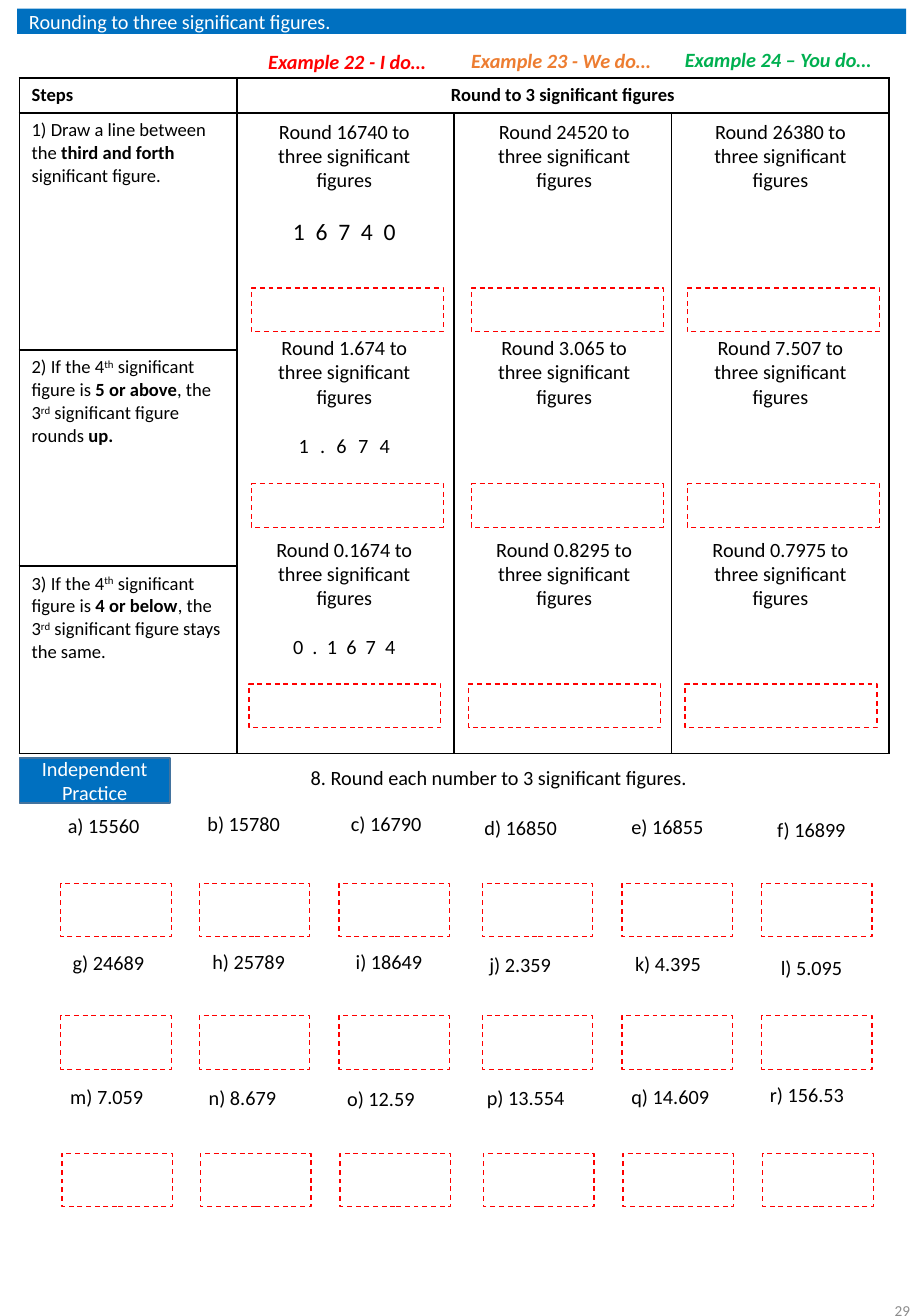
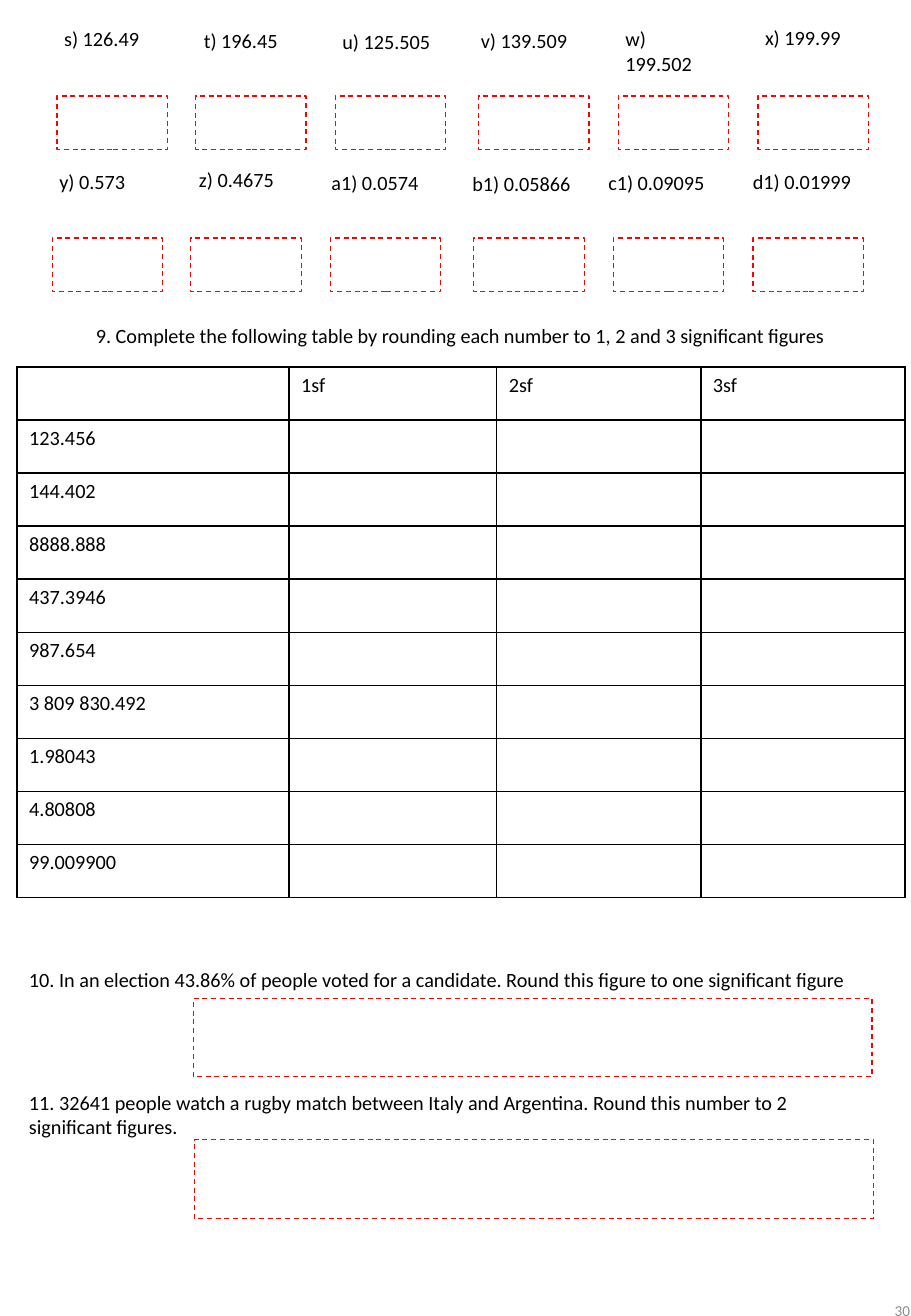
from lxml.etree import SubElement
from pptx import Presentation
from pptx.dml.color import RGBColor
from pptx.enum.dml import MSO_LINE
from pptx.enum.shapes import MSO_SHAPE
from pptx.enum.text import MSO_ANCHOR, MSO_AUTO_SIZE, PP_ALIGN
from pptx.oxml.ns import qn
from pptx.util import Inches, Pt

BLACK, WHITE, BLUE, RED = "000000", "FFFFFF", "0070C0", "FF0000"
ORANGE, GREEN, GREY, BLUE_EDGE = "ED7D31", "00B050", "8C8C8C", "43739E"
FONT = "Calibri"
BLANK_LINE = 14.6  # points, one line of 12 pt text


def rgb(value):
    return RGBColor.from_string(value)


def write(paragraph, text, size=12, color=BLACK, bold=False, italic=False,
          align=PP_ALIGN.LEFT, before=0, spacing=0):
    """Fill a paragraph with a string or with (text, style) pairs."""
    paragraph.alignment = align
    if before:
        paragraph.space_before = Pt(before)
    pieces = [(text, "")] if isinstance(text, str) else text
    for words, style in pieces:
        run = paragraph.add_run()
        run.text = words
        font = run.font
        font.name, font.size, font.color.rgb = FONT, Pt(size), rgb(color)
        font.bold, font.italic = bold or style == "bold", italic
        properties = run._r.get_or_add_rPr()
        if style == "super":
            properties.set("baseline", "30000")
        if spacing:
            properties.set("spc", str(spacing))


class Worksheet:
    ANSWER_COLUMNS = [0, 1.14, 2.29, 3.47, 4.62, 5.77]

    def __init__(self):
        self.deck = Presentation()
        self.deck.slide_width, self.deck.slide_height = Inches(7.5), Inches(10.83)
        self.slide = None

    def page(self):
        self.slide = self.deck.slides.add_slide(self.deck.slide_layouts[6])

    def page_number(self, number):
        frame = self.text(5.9, 10.49, 1.69, 0.58, str(number), size=9,
                          color=GREY, align=PP_ALIGN.RIGHT)
        frame.auto_size = MSO_AUTO_SIZE.NONE
        frame.vertical_anchor = MSO_ANCHOR.MIDDLE

    def text(self, left, top, width, height, text, wrap=True, **style):
        box = self.slide.shapes.add_textbox(
            Inches(left), Inches(top), Inches(width), Inches(height))
        frame = box.text_frame
        frame.word_wrap = wrap
        frame.auto_size = MSO_AUTO_SIZE.SHAPE_TO_FIT_TEXT
        write(frame.paragraphs[0], text, **style)
        return frame

    def rectangle(self, left, top, width, height, fill, edge=None, weight=1):
        shape = self.slide.shapes.add_shape(
            MSO_SHAPE.RECTANGLE, Inches(left), Inches(top), Inches(width), Inches(height))
        shape.shadow.inherit = False
        shape.fill.solid()
        shape.fill.fore_color.rgb = rgb(fill)
        if edge:
            shape.line.color.rgb = rgb(edge)
            shape.line.width = Pt(weight)
        else:
            shape.line.fill.background()
        return shape

    def banner(self, left, top, width, height, text, edge=None, align=PP_ALIGN.LEFT):
        frame = self.rectangle(left, top, width, height, BLUE, edge).text_frame
        frame.word_wrap = True
        frame.vertical_anchor = MSO_ANCHOR.MIDDLE
        write(frame.paragraphs[0], text, color=WHITE, align=align)

    def answer_box(self, left, top, width=0.91, height=0.44):
        box = self.rectangle(left, top, width, height, WHITE, RED, 0.75)
        box.line.dash_style = MSO_LINE.DASH

    def question_row(self, left, top, questions):
        for offset, (label, x, y) in zip(self.ANSWER_COLUMNS, questions):
            self.text(x, y, 0.22 + 0.073 * len(label), 0.3, label, wrap=False)
            self.answer_box(left + offset, top)

    def table(self, left, top, columns, rows, fill=None):
        table = self.slide.shapes.add_table(
            len(rows), len(columns), Inches(left), Inches(top),
            Inches(sum(columns)), Inches(sum(rows))).table
        table.first_row = table.horz_banding = False
        for column, width in zip(table.columns, columns):
            column.width = Inches(width)
        for row, height in zip(table.rows, rows):
            row.height = Inches(height)
        for cell in table.iter_cells():
            self.borders(cell)
            if fill:
                cell.fill.solid()
                cell.fill.fore_color.rgb = rgb(fill)
            else:
                cell.fill.background()
        return table

    @staticmethod
    def borders(cell):
        properties = cell._tc.get_or_add_tcPr()
        for side in ("a:lnL", "a:lnR", "a:lnT", "a:lnB"):
            edge = SubElement(properties, qn(side), w=str(Pt(1)))
            SubElement(SubElement(edge, qn("a:solidFill")), qn("a:srgbClr"), val=BLACK)


STEPS = [
    [("1) Draw a line between the ", ""), ("third and forth ", "bold"),
     ("significant figure.", "")],
    [("2) If the 4", ""), ("th", "super"), (" significant figure is ", ""),
     ("5 or above", "bold"), (", the 3", ""), ("rd", "super"),
     (" significant figure rounds ", ""), ("up.", "bold")],
    [("3) If the 4", ""), ("th", "super"), (" significant figure is ", ""),
     ("4 or below", "bold"), (", the 3", ""), ("rd", "super"),
     (" significant figure stays the same.", "")],
]
EXAMPLE_TITLES = [
    ("Example 22 - I do…", 2.11, 0.36, 1.54, RED),
    ("Example 23 - We do…", 3.78, 0.35, 1.82, ORANGE),
    ("Example 24 – You do…", 5.54, 0.34, 1.8, GREEN),
]
# Text top, box top, box shift, numbers of the three examples
EXAMPLE_ROWS = [
    (0.93, 2.37, 0, ["16740", "24520", "26380"]),
    (2.71, 3.98, 0, ["1.674", "3.065", "7.507"]),
    (4.37, 5.63, -0.02, ["0.1674", "0.8295", "0.7975"]),
]
EXAMPLE_COLUMNS = [2.06, 3.87, 5.65]
# Spaced digits of the first example: text, size, letter spacing
WORKED_DIGITS = [("1 6 7 4 0", 14, 160), ("1 . 6 7 4", 12, 200), ("0 . 1 6 7 4", 12, 140)]

# Left and top of the answer boxes, then each question with its place
FIRST_PAGE_QUESTIONS = [
    (0.5, 7.27, [("a) 15560", 0.46, 6.64), ("b) 15780", 1.61, 6.63),
                 ("c) 16790", 2.79, 6.63), ("d) 16850", 3.89, 6.66),
                 ("e) 16855", 5.1, 6.65), ("f) 16899", 6.3, 6.68)]),
    (0.5, 8.36, [("g) 24689", 0.5, 7.77), ("h) 25789", 1.65, 7.76),
                 ("i) 18649", 2.83, 7.76), ("j) 2.359", 3.93, 7.79),
                 ("k) 4.395", 5.13, 7.78), ("l) 5.095", 6.33, 7.81)]),
    (0.51, 9.49, [("m) 7.059", 0.48, 8.87), ("n) 8.679", 1.62, 8.88),
                  ("o) 12.59", 2.76, 8.89), ("p) 13.554", 3.91, 8.88),
                  ("q) 14.609", 5.1, 8.87), ("r) 156.53", 6.24, 8.86)]),
]
SECOND_PAGE_QUESTIONS = [
    (0.47, 0.79, [("s) 126.49", 0.43, 0.17), ("t) 196.45", 1.58, 0.18),
                  ("u) 125.505", 2.72, 0.19), ("v) 139.509", 3.86, 0.18),
                  ("w) 199.502", 5.05, 0.17), ("x) 199.99", 6.2, 0.16)]),
    (0.43, 1.96, [("y) 0.573", 0.39, 1.34), ("z) 0.4675", 1.54, 1.33),
                  ("a1) 0.0574", 2.63, 1.35), ("b1) 0.05866", 3.79, 1.36),
                  ("c1) 0.09095", 4.91, 1.35), ("d1) 0.01999", 6.1, 1.34)]),
]
NUMBERS = ["123.456", "144.402", "8888.888", "437.3946", "987.654",
           "3 809 830.492", "1.98043", "4.80808", "99.009900"]


def examples_page(sheet):
    sheet.page()

    # Steps table
    steps = sheet.table(0.16, 0.64, [1.79] * 4, [0.28, 1.95, 1.78, 1.54], WHITE)
    steps.cell(0, 1).merge(steps.cell(0, 3))
    for column in range(1, 4):
        steps.cell(1, column).merge(steps.cell(3, column))
    write(steps.cell(0, 0).text_frame.paragraphs[0], "Steps", size=11, bold=True)
    write(steps.cell(0, 1).text_frame.paragraphs[0], "Round to 3 significant figures",
          size=11, bold=True, align=PP_ALIGN.CENTER)
    for row, step in enumerate(STEPS, 1):
        write(steps.cell(row, 0).text_frame.paragraphs[0], step, size=11)

    # Examples
    for title, left, top, width, color in EXAMPLE_TITLES:
        sheet.text(left, top, width, 0.3, title, color=color, bold=True, italic=True)
    for (top, box_top, shift, numbers), digits in zip(EXAMPLE_ROWS, WORKED_DIGITS):
        for left, number in zip(EXAMPLE_COLUMNS, numbers):
            worked = left == EXAMPLE_COLUMNS[0]
            task = sheet.text(left, top, 1.55, 1.11 if worked else 0.91,
                              f"Round {number} to three significant figures",
                              align=PP_ALIGN.CENTER)
            if worked:
                spaced, size, spacing = digits
                write(task.add_paragraph(), spaced, size=size, spacing=spacing,
                      align=PP_ALIGN.CENTER, before=BLANK_LINE)
            sheet.answer_box(left + shift + 0.01, box_top, 1.58, 0.36)

    # Independent practice
    sheet.text(2.46, 6.25, 3.38, 0.3, "8. Round each number to 3 significant figures.",
               wrap=False)
    for left, top, questions in FIRST_PAGE_QUESTIONS:
        sheet.question_row(left, top, questions)
    sheet.page_number(29)
    sheet.banner(0.16, 6.24, 1.24, 0.37, "Independent Practice", BLUE_EDGE,
                 PP_ALIGN.CENTER)
    sheet.banner(0.14, 0.07, 7.32, 0.21, "Rounding to three significant figures.")


def practice_page(sheet):
    sheet.page()
    for left, top, questions in SECOND_PAGE_QUESTIONS:
        sheet.question_row(left, top, questions)

    # Rounding table
    sheet.text(0.69, 2.61, 6.42, 0.3, "9. Complete the following table by rounding "
               "each number to 1, 2 and 3 significant figures", wrap=False)
    rounding = sheet.table(0.14, 3.02, [2.24, 1.71, 1.68, 1.68],
                           [0.437] * (len(NUMBERS) + 1))
    for column in range(1, 4):
        write(rounding.cell(0, column).text_frame.paragraphs[0], f"{column}sf")
    for row, number in enumerate(NUMBERS, 1):
        write(rounding.cell(row, 0).text_frame.paragraphs[0], number)

    # Word problems
    problems = sheet.text(0.14, 7.91, 7.17, 1.5, "10. In an election 43.86% of people "
                          "voted for a candidate. Round this figure to one "
                          "significant figure")
    write(problems.add_paragraph(), "11. 32641 people watch a rugby match between Italy "
          "and Argentina. Round this number to 2 significant figures.",
          before=4 * BLANK_LINE)
    sheet.answer_box(1.59, 8.22, 5.59, 0.64)
    sheet.answer_box(1.6, 9.38, 5.59, 0.65)
    sheet.page_number(30)


def main():
    sheet = Worksheet()
    examples_page(sheet)
    practice_page(sheet)
    sheet.deck.save("out.pptx")


if __name__ == "__main__":
    main()
